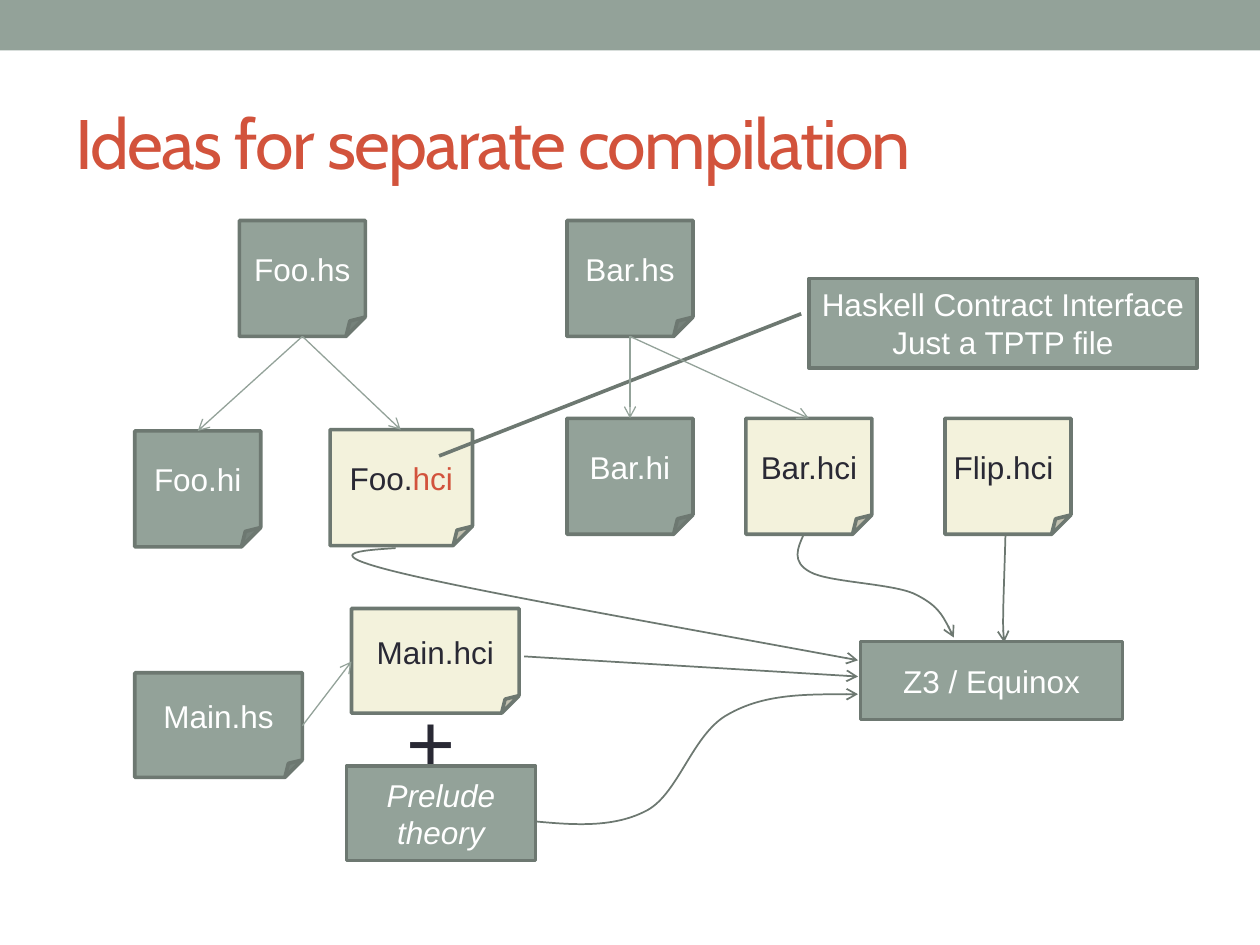
from lxml import etree
from pptx import Presentation
from pptx.dml.color import RGBColor
from pptx.enum.shapes import MSO_CONNECTOR, MSO_SHAPE as SHAPE
from pptx.enum.text import MSO_ANCHOR, PP_ALIGN
from pptx.oxml.ns import qn
from pptx.util import Inches, Pt

SAGE = RGBColor(0x93, 0xA2, 0x99)
DARK_SAGE = RGBColor(0x6D, 0x78, 0x71)
CREAM = RGBColor(0xF3, 0xF2, 0xDC)
RED = RGBColor(0xD2, 0x53, 0x3C)
INK = RGBColor(0x29, 0x29, 0x34)
WHITE = RGBColor(0xFF, 0xFF, 0xFF)


def add_run(paragraph, text, color, size=18, font="Arial", italic=None):
    run = paragraph.add_run()
    run.text = text
    run.font.name, run.font.size, run.font.italic = font, Pt(size), italic
    run.font.color.rgb = color
    return run


def style_arrow(shape, color, width):
    shape.line.color.rgb = color
    shape.line.width = Pt(width)
    etree.SubElement(shape.line._get_or_add_ln(), qn("a:tailEnd"), type="arrow")
    etree.SubElement(shape._element.spPr, qn("a:effectLst"))


presentation = Presentation()
presentation.slide_width, presentation.slide_height = Inches(10), Inches(7.5)
slide = presentation.slides.add_slide(presentation.slide_layouts[5])
shapes = slide.shapes

# Top band
band = shapes.add_shape(SHAPE.RECTANGLE, 0, 0, Inches(10), Inches(0.4))
band.shadow.inherit = False
band.fill.solid()
band.fill.fore_color.rgb = SAGE
band.line.fill.background()

# Title
title = shapes.title
title.left, title.top = Inches(0.5), Inches(0.58)
title.width, title.height = Inches(9), Inches(1.08)
title.text_frame.vertical_anchor = MSO_ANCHOR.MIDDLE
paragraph = title.text_frame.paragraphs[0]
paragraph.alignment = PP_ALIGN.LEFT
title_run = add_run(paragraph, "Ideas for separate compilation", RED, 40, "Cabin")
title_run.font._element.set("spc", "-100")

# Plus sign between Main.hci and the prelude
plus = shapes.add_textbox(Inches(3.13), Inches(5.42), Inches(0.5), Inches(0.91))
plus.text_frame.word_wrap = False
add_run(plus.text_frame.paragraphs[0], "+", INK, 48)

# Files and tools: preset, left, top, width, height, fill, lines of (text, color)
FILE, BOX = SHAPE.FOLDED_CORNER, SHAPE.RECTANGLE
nodes = [
    (FILE, 1.9, 1.75, 1, 0.92, SAGE, [[("Foo.hs", WHITE)]]),
    (FILE, 4.5, 1.75, 1, 0.92, SAGE, [[("Bar.hs", WHITE)]]),
    (FILE, 1.07, 5.34, 1.33, 0.83, SAGE, [[("Main.hs", WHITE)]]),
    (FILE, 2.62, 3.41, 1.13, 0.92, CREAM, [[("Foo.", INK), ("hci", RED)]]),
    (FILE, 1.07, 3.42, 1, 0.92, SAGE, [[("Foo.hi", WHITE)]]),
    (FILE, 4.5, 3.32, 1, 0.92, SAGE, [[("Bar.hi", WHITE)]]),
    (FILE, 5.92, 3.32, 1, 0.92, CREAM, [[("Bar.hci", INK)]]),
    (FILE, 7.5, 3.32, 1, 0.92, CREAM, [[("Flip.hci ", INK)]]),
    (FILE, 2.79, 4.83, 1.33, 0.83, CREAM, [[("Main.hci", INK)]]),
    (SHAPE.FLOWCHART_PROCESS, 2.75, 6.08, 1.5, 0.75, SAGE, [[("Prelude theory", WHITE)]]),
    (BOX, 6.83, 5.09, 2.08, 0.62, SAGE, [[("Z3 / Equinox", WHITE)]]),
    (SHAPE.LINE_CALLOUT_1, 6.42, 2.21, 3.08, 0.71, SAGE,
     [[("Haskell Contract Interface", WHITE)], [("Just a TPTP file", WHITE)]]),
]
for preset, left, top, width, height, fill, lines in nodes:
    node = shapes.add_shape(preset, Inches(left), Inches(top), Inches(width), Inches(height))
    node.shadow.inherit = False
    node.fill.solid()
    node.fill.fore_color.rgb = fill
    node.line.color.rgb = DARK_SAGE
    node.line.width = Pt(2.08)
    if preset == SHAPE.LINE_CALLOUT_1:
        for index, value in enumerate([0.395, -0.02, 1.985, -0.953]):
            node.adjustments[index] = value
    frame = node.text_frame
    frame.word_wrap = True
    frame.vertical_anchor = MSO_ANCHOR.MIDDLE
    frame.margin_left = frame.margin_right = Inches(0.05)
    for index, line in enumerate(lines):
        paragraph = frame.add_paragraph() if index else frame.paragraphs[0]
        paragraph.alignment = PP_ALIGN.CENTER
        for text, color in line:
            italic = True if preset == SHAPE.FLOWCHART_PROCESS else None
            add_run(paragraph, text, color, italic=italic)

# Straight arrows from each source file to its compilation outputs
straight_arrows = [
    (2.4, 2.67, 1.57, 3.42),
    (2.4, 2.67, 3.18, 3.41),
    (5, 2.67, 5, 3.32),
    (5, 2.67, 6.42, 3.32),
    (2.4, 5.76, 2.79, 5.25),
]
for ends in straight_arrows:
    arrow = shapes.add_connector(MSO_CONNECTOR.STRAIGHT, *[Inches(end) for end in ends])
    style_arrow(arrow, SAGE, 0.75)

# Arrows to the prover: frame, then a start and three Bézier points per segment
prover_arrows = [
    ((4.16, 5.21, 2.65, 0.16), [(4.16, 5.21), (6.81, 5.37)]),
    ((4.25, 5.51, 2.56, 1.03),
     [(4.25, 6.52), (4.57, 6.55), (4.88, 6.57), (5.14, 6.43), (5.39, 6.29),
      (5.5, 5.82), (5.78, 5.67), (6.06, 5.51), (6.43, 5.51), (6.81, 5.51)]),
    ((6.33, 4.24, 1.24, 0.83),
     [(6.38, 4.24), (6.33, 4.35), (6.28, 4.46), (6.43, 4.54), (6.57, 4.62),
      (7.06, 4.63), (7.25, 4.71), (7.44, 4.8), (7.51, 4.93), (7.57, 5.06)]),
    ((7.96, 4.24, 0.02, 0.86), [(7.98, 4.24), (7.97, 4.63), (7.95, 5.01), (7.97, 5.1)]),
    ((2.79, 4.35, 4.01, 0.89),
     [(3.14, 4.35), (2.84, 4.37), (2.54, 4.39), (3.15, 4.54),
      (3.76, 4.69), (5.29, 4.96), (6.81, 5.24)]),
]
for bounds, points in prover_arrows:
    left, top, width, height = [Inches(length) for length in bounds]
    vertices = [(Inches(x), Inches(y)) for x, y in points]
    builder = shapes.build_freeform(*vertices[0])
    builder.add_line_segments(vertices[1:], close=False)
    arrow = builder.convert_to_shape()
    arrow.left, arrow.top, arrow.width, arrow.height = left, top, width, height
    arrow.fill.background()
    style_arrow(arrow, DARK_SAGE, 1)

    # Outline in the frame's own coordinates, with cubic segments
    outline = arrow._element.spPr.find(".//" + qn("a:path"))
    outline.set("w", str(width))
    outline.set("h", str(height))
    for point, (x, y) in zip(outline.iter(qn("a:pt")), vertices):
        point.set("x", str(x - left))
        point.set("y", str(y - top))
    segments = outline.findall(qn("a:lnTo"))
    if len(segments) >= 3:
        for start in range(0, len(segments), 3):
            cubic = etree.SubElement(outline, qn("a:cubicBezTo"))
            for segment in segments[start:start + 3]:
                cubic.append(segment[0])
                outline.remove(segment)

presentation.save("out.pptx")
